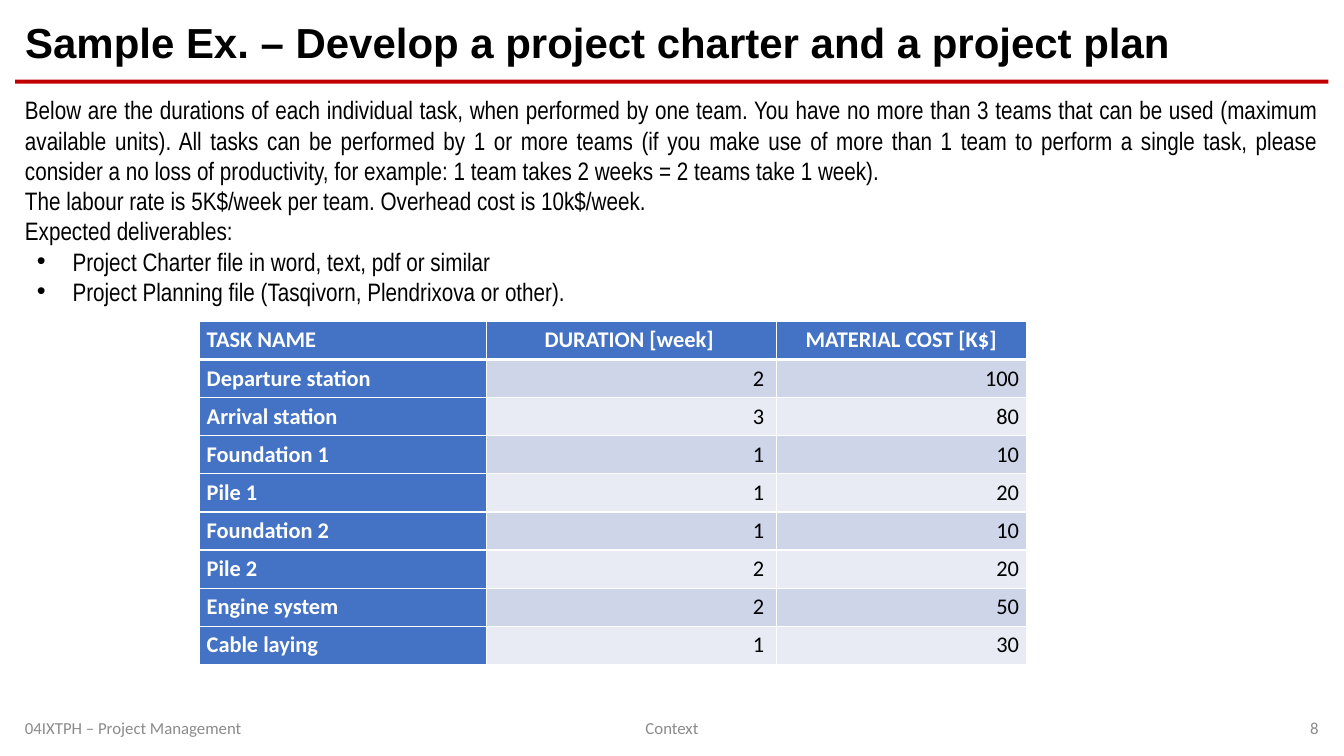
import pptx
import pptx.dml.color
import pptx.enum.shapes
import pptx.enum.text
import pptx.oxml.ns
import pptx.util
from lxml import etree

Cm, Pt = pptx.util.Cm, pptx.util.Pt
ALIGN = pptx.enum.text.PP_ALIGN
MIDDLE = pptx.enum.text.MSO_ANCHOR.MIDDLE
BLACK, WHITE, GREY, RED = "000000", "FFFFFF", "8B8B8B", "C00000"
BLUE, BAND_DARK, BAND_LIGHT = "4472C4", "CFD5E9", "E8EBF4"
MARGIN, CONTENT_WIDTH = 0.38, 33.1

INTRO = [
    "Below are the durations of each individual task, when performed by one team. "
    "You have no more than 3 teams that can be used (maximum available units). "
    "All tasks can be performed by 1 or more teams (if you make use of more than "
    "1 team to perform a single task, please consider a no loss of productivity, "
    "for example: 1 team takes 2 weeks = 2 teams take 1 week).",
    "The labour rate is 5K$/week per team. Overhead cost is 10k$/week.",
    "Expected deliverables:",
]
DELIVERABLES = [
    "Project Charter file in word, text, pdf or similar",
    "Project Planning file (Tasqivorn, Plendrixova or other).",
]
TASKS = [
    ("TASK NAME", "DURATION [week]", "MATERIAL COST [K$]"),
    ("Departure station", 2, 100),
    ("Arrival station", 3, 80),
    ("Foundation 1", 1, 10),
    ("Pile 1", 1, 20),
    ("Foundation 2", 1, 10),
    ("Pile 2", 2, 20),
    ("Engine system", 2, 50),
    ("Cable laying", 1, 30),
]


def rgb(value):
    return pptx.dml.color.RGBColor.from_string(value)


def sub(parent, tag, **attributes):
    return etree.SubElement(parent, pptx.oxml.ns.qn(tag), **attributes)


def place(shape, left, top, width, height):
    shape.left, shape.top, shape.width, shape.height = map(Cm, (left, top, width, height))


def style(paragraph, font_name, size, color, align, bold=False):
    font = paragraph.font
    font.name, font.size, font.bold = font_name, Pt(size), bold
    font.color.rgb = rgb(color)
    paragraph.alignment = align


def add_text(slide, box, lines, font_name, size, color, align, anchor=None):
    frame = slide.shapes.add_textbox(*map(Cm, box)).text_frame
    frame.word_wrap = True
    frame.vertical_anchor = anchor
    frame.text = "\n".join(lines)
    for paragraph in frame.paragraphs:
        style(paragraph, font_name, size, color, align)
    return frame


def add_bullet(paragraph):
    properties = paragraph._p.get_or_add_pPr()
    properties.set("marL", str(Cm(1.2)))
    properties.set("indent", str(-Cm(0.9)))
    sub(properties, "a:buFont", typeface="Arial")
    sub(properties, "a:buChar", char="•")


def set_borders(cell, top, bottom):
    properties = cell._tc.get_or_add_tcPr()
    widths = {"a:lnL": 0.96, "a:lnR": 0.96, "a:lnT": top, "a:lnB": bottom}
    for position, (tag, width) in enumerate(widths.items()):
        line = sub(properties, tag, w=str(Pt(width)))
        sub(sub(line, "a:solidFill"), "a:srgbClr", val=WHITE)
        properties.insert(position, line)  # borders come before the fill


def fill_cell(cell, value, row, column):
    heading = row == 0 or column == 0
    if column == 0:
        align = ALIGN.JUSTIFY
    else:
        align = ALIGN.CENTER if row == 0 else ALIGN.RIGHT
    cell.text = str(value)
    cell.margin_left = Cm(0.18)
    cell.margin_right = Cm(0.3 if column == 1 else 0.18)
    cell.margin_top = cell.margin_bottom = Cm(0.13)
    paragraph = cell.text_frame.paragraphs[0]
    paragraph.space_before = paragraph.space_after = Pt(3)
    style(paragraph, "Calibri", 16, WHITE if heading else BLACK, align, heading)
    band = BAND_DARK if row % 2 else BAND_LIGHT
    cell.fill.solid()
    cell.fill.fore_color.rgb = rgb(BLUE if heading else band)
    set_borders(cell, top=3 if row == 1 else 0.96, bottom=3 if row == 0 else 0.96)


def add_task_table(slide):
    column_widths, row_height = (7.24, 7.29, 6.3), 0.96
    table = slide.shapes.add_table(
        len(TASKS), len(column_widths), Cm(5.03), Cm(8.1),
        Cm(sum(column_widths)), Cm(row_height * len(TASKS))).table
    for column, width in zip(table.columns, column_widths):
        column.width = Cm(width)
    for row, task in enumerate(TASKS):
        table.rows[row].height = Cm(row_height)
        for column, value in enumerate(task):
            fill_cell(table.cell(row, column), value, row, column)


def add_heading(slide):
    rule = slide.shapes.add_shape(pptx.enum.shapes.MSO_SHAPE.RECTANGLE, 0, 0, 0, 0)
    place(rule, MARGIN, 2.01, CONTENT_WIDTH, 0.1)
    rule.shadow.inherit = False
    rule.fill.solid()
    rule.fill.fore_color.rgb = rgb(RED)
    rule.line.fill.background()

    title = slide.shapes.title
    place(title, MARGIN, 0.38, CONTENT_WIDTH, 1.5)
    title.text_frame.text = "Sample Ex. – Develop a project charter and a project plan"
    title.text_frame.vertical_anchor = MIDDLE
    paragraph = title.text_frame.paragraphs[0]
    paragraph.line_spacing = 0.9
    style(paragraph, "Arial", 30, BLACK, ALIGN.LEFT, bold=True)


def add_footer(slide):
    for text, left, width, align in (
            ("04IXTPH – Project Management", MARGIN, 7.62, ALIGN.LEFT),
            ("Context", 11.22, 11.43, ALIGN.CENTER),
            ("8", 25.86, 7.62, ALIGN.RIGHT)):
        add_text(slide, (left, 18.03, width, 0.64), [text], "Calibri", 12, GREY, align, MIDDLE)


def main():
    deck = pptx.Presentation()
    deck.slide_width, deck.slide_height = Cm(33.87), Cm(19.05)
    slide = deck.slides.add_slide(deck.slide_layouts[5])
    add_heading(slide)

    # Task description and deliverables
    body = add_text(slide, (MARGIN, 2.26, CONTENT_WIDTH, 15.4), INTRO + DELIVERABLES,
                    "Arial Narrow", 18, BLACK, ALIGN.JUSTIFY)
    for paragraph in body.paragraphs[len(INTRO):]:
        add_bullet(paragraph)

    add_footer(slide)
    add_task_table(slide)
    deck.save("out.pptx")


main()
